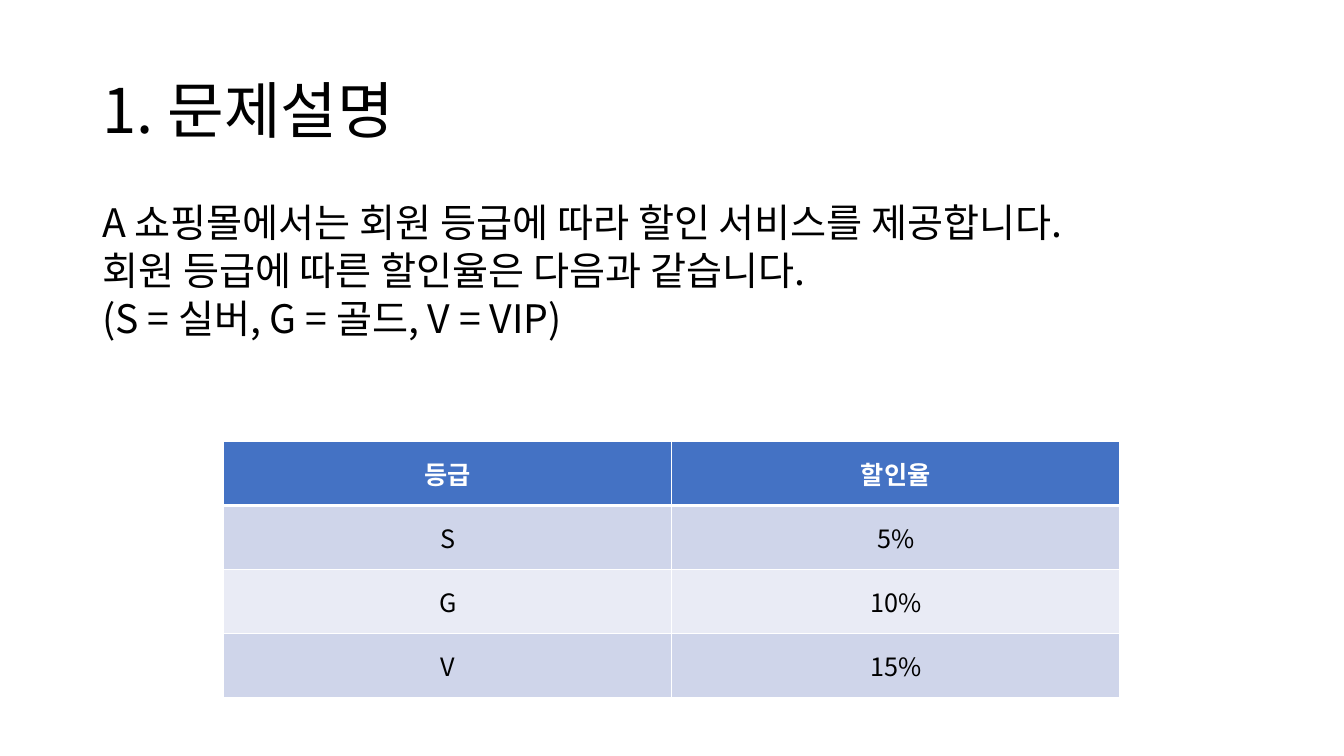
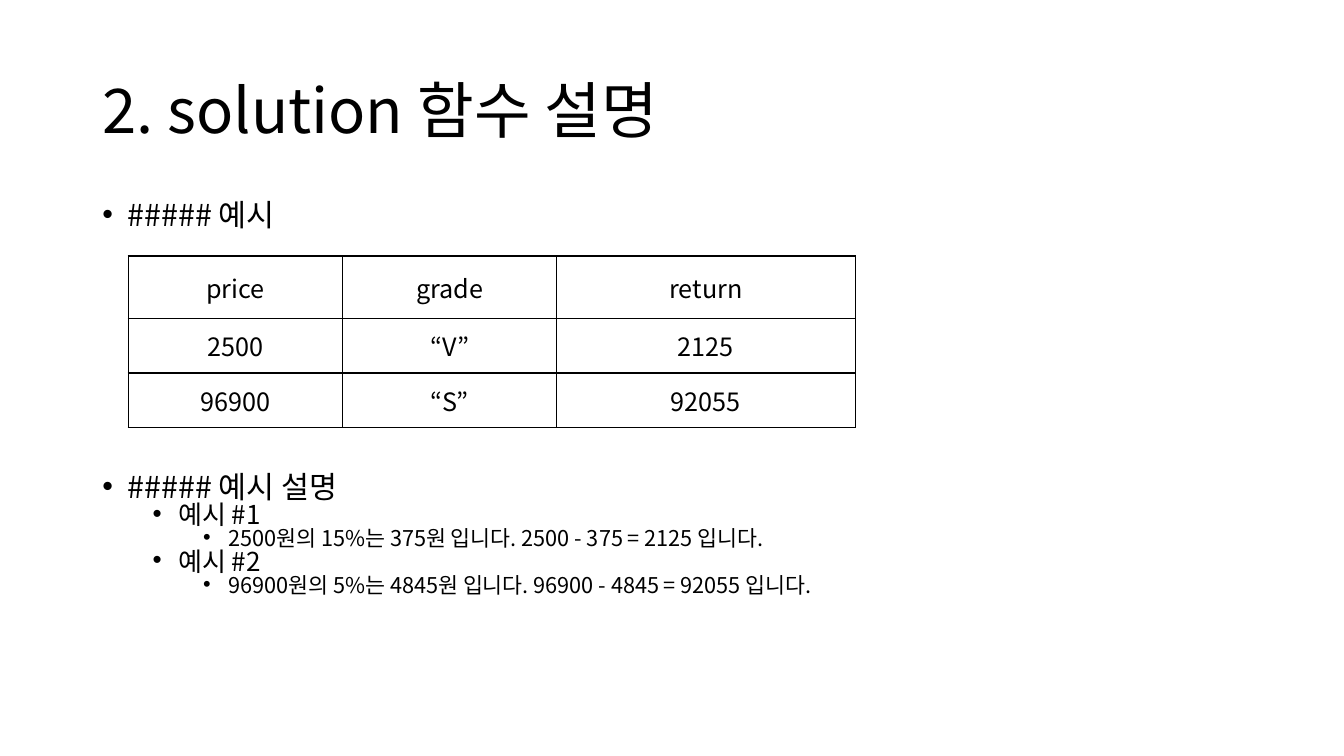
"""Build two slides on member discounts and the solution function."""
from dataclasses import dataclass
from typing import Optional

from lxml import etree
from pptx import Presentation
from pptx import util as u
from pptx.dml.color import RGBColor
from pptx.enum import text as t
from pptx.oxml.ns import qn


@dataclass(frozen=True)
class Theme:
    font: str = "Noto Sans CJK KR"
    ink: str = "000000"
    white: str = "FFFFFF"
    blue: str = "4472C4"
    bands: tuple[str, str] = ("CFD5EA", "E9EBF5")
    title: float = 44
    body: float = 28
    cell: float = 18
    levels: tuple[float, ...] = (21.7, 18.6, 15.5)


@dataclass(frozen=True)
class Box:
    x: float
    y: float
    w: float
    h: float


@dataclass(frozen=True)
class Line:
    text: str
    size: float
    space: float
    before: float = 0
    level: Optional[int] = None


@dataclass(frozen=True)
class Grid:
    x: float
    y: float
    cols: tuple[float, ...]
    rows: tuple[float, ...]
    data: tuple[tuple[str, ...], ...]
    edge: str
    banded: bool = False


THEME = Theme()
TITLE = Box(2.33, 1.01, 29.21, 3.68)
STEP = 1.27
INDENT = 0.64
TIGHT = 0.7
GAP = 2.3


def style(para, size: float, color: str, bold: bool = False) -> None:
    for run in para.runs:
        font = run.font
        font.size, font.bold, font.name = u.Pt(size), bold, THEME.font
        font.color.rgb = RGBColor.from_string(color)
        east = etree.SubElement(font._element, qn("a:ea"))
        east.set("typeface", THEME.font)


def bullet(para, level: int) -> None:
    props = para._p.get_or_add_pPr()
    props.set("marL", str(u.Cm(INDENT + STEP * level)))
    props.set("indent", str(-u.Cm(INDENT)))
    etree.SubElement(props, qn("a:buFont")).set("typeface", "Arial")
    etree.SubElement(props, qn("a:buChar")).set("char", "•")
    para.level = level


def write(slide, box: Box, lines: list[Line], anchor=t.MSO_ANCHOR.TOP) -> None:
    shape = slide.shapes.add_textbox(*(u.Cm(v) for v in (box.x, box.y, box.w, box.h)))
    frame = shape.text_frame
    frame.word_wrap = True
    frame.vertical_anchor = anchor
    frame.text = "\n".join(line.text for line in lines)
    for para, line in zip(frame.paragraphs, lines):
        if line.level is not None:
            bullet(para, line.level)
        para.line_spacing = line.space
        para.space_before = u.Pt(line.before)
        style(para, line.size, THEME.ink)


def border(cell, color: str, base: float) -> None:
    props = cell._tc.get_or_add_tcPr()
    for spot, side in enumerate(("lnL", "lnR", "lnT", "lnB")):
        edge = etree.Element(qn(f"a:{side}"))
        edge.set("w", str(u.Pt(base if side == "lnB" else 1)))
        fill = etree.SubElement(edge, qn("a:solidFill"))
        etree.SubElement(fill, qn("a:srgbClr")).set("val", color)
        props.insert(spot, edge)


def draw(slide, grid: Grid) -> None:
    frame = slide.shapes.add_table(
        len(grid.rows), len(grid.cols), u.Cm(grid.x), u.Cm(grid.y),
        u.Cm(sum(grid.cols)), u.Cm(sum(grid.rows)))
    table = frame.table
    table.first_row = table.horz_banding = False
    for col, width in zip(table.columns, grid.cols):
        col.width = u.Cm(width)
    for r, (row, height) in enumerate(zip(table.rows, grid.rows)):
        row.height = u.Cm(height)
        head = grid.banded and r == 0
        for cell, value in zip(row.cells, grid.data[r]):
            cell.text_frame.text = value
            cell.vertical_anchor = t.MSO_ANCHOR.MIDDLE
            para = cell.text_frame.paragraphs[0]
            para.alignment = t.PP_ALIGN.CENTER
            style(para, THEME.cell, THEME.white if head else THEME.ink, head)
            if grid.banded:
                cell.fill.solid()
                tint = THEME.blue if head else THEME.bands[(r - 1) % 2]
                cell.fill.fore_color.rgb = RGBColor.from_string(tint)
            else:
                cell.fill.background()
            border(cell, grid.edge, 3 if head else 1)


def start(deck, title: str):
    slide = deck.slides.add_slide(deck.slide_layouts[6])
    write(slide, TITLE, [Line(title, THEME.title, 0.9)], t.MSO_ANCHOR.MIDDLE)
    return slide


def point(text: str, level: int, before: float = GAP) -> Line:
    return Line(text, THEME.levels[level], TIGHT, before, level)


def main() -> None:
    deck = Presentation()
    deck.slide_width, deck.slide_height = u.Cm(33.87), u.Cm(19.05)

    slide = start(deck, "1. 문제설명")
    texts = (
        "A 쇼핑몰에서는 회원 등급에 따라 할인 서비스를 제공합니다.",
        "회원 등급에 따른 할인율은 다음과 같습니다.",
        "(S = 실버, G = 골드, V = VIP)",
    )
    write(slide, Box(2.33, 5.08, 29.21, 5),
          [Line(s, THEME.body, 0.82, 6.6 if i else 0) for i, s in enumerate(texts)])
    draw(slide, Grid(
        5.64, 11.13, (11.29,) * 2, (1.61,) * 4,
        (("등급", "할인율"), ("S", "5%"), ("G", "10%"), ("V", "15%")),
        THEME.white, True))

    slide = start(deck, "2. solution 함수 설명")
    write(slide, Box(2.33, 5.08, 29.21, 12.09), [
        point("##### 예시", 0, 0),
        point("##### 예시 설명", 0, 176),
        point("예시 #1", 1),
        point("2500원의 15%는 375원 입니다. 2500 - 375 = 2125 입니다.", 2),
        point("예시 #2", 1),
        point("96900원의 5%는 4845원 입니다. 96900 - 4845 = 92055 입니다.", 2),
    ])
    draw(slide, Grid(
        3.23, 6.45, (5.4, 5.4, 7.52), (1.57, 1.38, 1.38),
        (("price", "grade", "return"), ("2500", "“V”", "2125"), ("96900", "“S”", "92055")),
        THEME.ink))

    deck.save("out.pptx")


if __name__ == "__main__":
    main()
